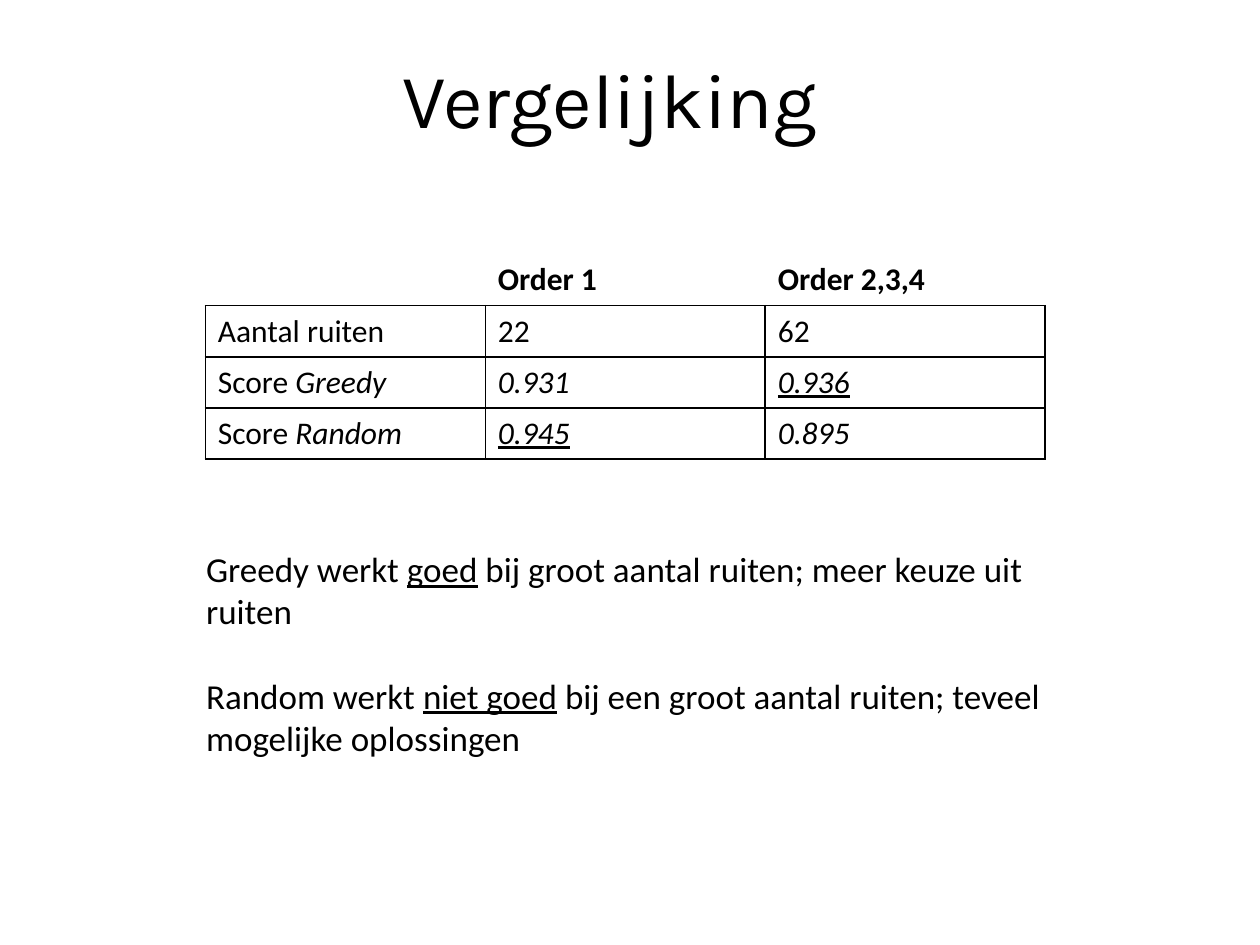
from lxml import etree
from pptx import Presentation
from pptx.dml.color import RGBColor
from pptx.enum.text import MSO_ANCHOR, PP_ALIGN
from pptx.oxml.ns import qn
from pptx.util import Pt

CENTER = PP_ALIGN.CENTER
MIDDLE = MSO_ANCHOR.MIDDLE
COLORS = {"text": "000000", "border": "000000"}
NO_TABLE_STYLE = "{2D5ABB26-0587-4C30-8999-92F81FD0307C}"


def add_runs(paragraph, runs, size, font_name="Calibri"):
    """Add (text, style) runs; style letters are b, i and u."""
    for text, style in runs:
        run = paragraph.add_run()
        run.text = text
        font = run.font
        font.name, font.size = font_name, Pt(size)
        font.color.rgb = RGBColor.from_string(COLORS["text"])
        font.bold, font.italic, font.underline = (s in style for s in "biu")


def set_borders(cell, visible_sides):
    """Draw the named sides (L, R, T, B) and switch the others off."""
    properties = cell._tc.get_or_add_tcPr()
    for index, side in enumerate("LRTB"):
        visible = side in visible_sides
        line = etree.Element(qn(f"a:ln{side}"), w=str(Pt(1) if visible else 0))
        fill = etree.SubElement(line, qn("a:solidFill" if visible else "a:noFill"))
        if visible:
            etree.SubElement(fill, qn("a:srgbClr"), val=COLORS["border"])
        properties.insert(index, line)


presentation = Presentation()
presentation.slide_width, presentation.slide_height = Pt(720), Pt(540)
slide = presentation.slides.add_slide(presentation.slide_layouts[6])

# Title
title = slide.shapes.add_textbox(Pt(42.5), Pt(-2), Pt(612), Pt(116))
title.text_frame.word_wrap = True
title.text_frame.vertical_anchor = MIDDLE
title_paragraph = title.text_frame.paragraphs[0]
title_paragraph.alignment = CENTER
add_runs(title_paragraph, [("Vergelijking", "")], 44, "Karla")

# Score table
score_rows = [
    [[], [("Order 1", "b")], [("Order 2,3,4", "b")]],
    [[("Aantal ruiten", "")], [("22", "")], [("62", "")]],
    [[("Score ", ""), ("Greedy", "i")], [("0.931", "i")], [("0.936", "iu")]],
    [[("Score ", ""), ("Random", "i")], [("0.945", "iu")], [("0.895", "i")]],
]
table = slide.shapes.add_table(
    len(score_rows), 3, Pt(117.3), Pt(145.5), Pt(480), Pt(116.8)).table
table.first_row = table.horz_banding = False
table._tbl.tblPr.find(qn("a:tableStyleId")).text = NO_TABLE_STYLE
for column in table.columns:
    column.width = Pt(160)
for row_index, row in enumerate(score_rows):
    table.rows[row_index].height = Pt(29.2)
    for column_index, runs in enumerate(row):
        cell = table.cell(row_index, column_index)
        cell.fill.background()
        set_borders(cell, "LRTB" if row_index else "B")
        add_runs(cell.text_frame.paragraphs[0], runs, 18)

# Conclusions
conclusions = [
    [("Greedy werkt ", ""), ("goed", "u"),
     (" bij groot aantal ruiten; meer keuze uit ruiten", "")],
    [("Random werkt ", ""), ("niet goed", "u"),
     (" bij een groot aantal ruiten; teveel mogelijke oplossingen", "")],
]
notes = slide.shapes.add_textbox(Pt(110.7), Pt(309.6), Pt(493), Pt(128))
text_frame = notes.text_frame
text_frame.word_wrap = True
for index, runs in enumerate(conclusions):
    paragraph = text_frame.add_paragraph() if index else text_frame.paragraphs[0]
    paragraph.space_before = Pt(24 if index else 0)
    add_runs(paragraph, runs, 20)

presentation.save("out.pptx")
